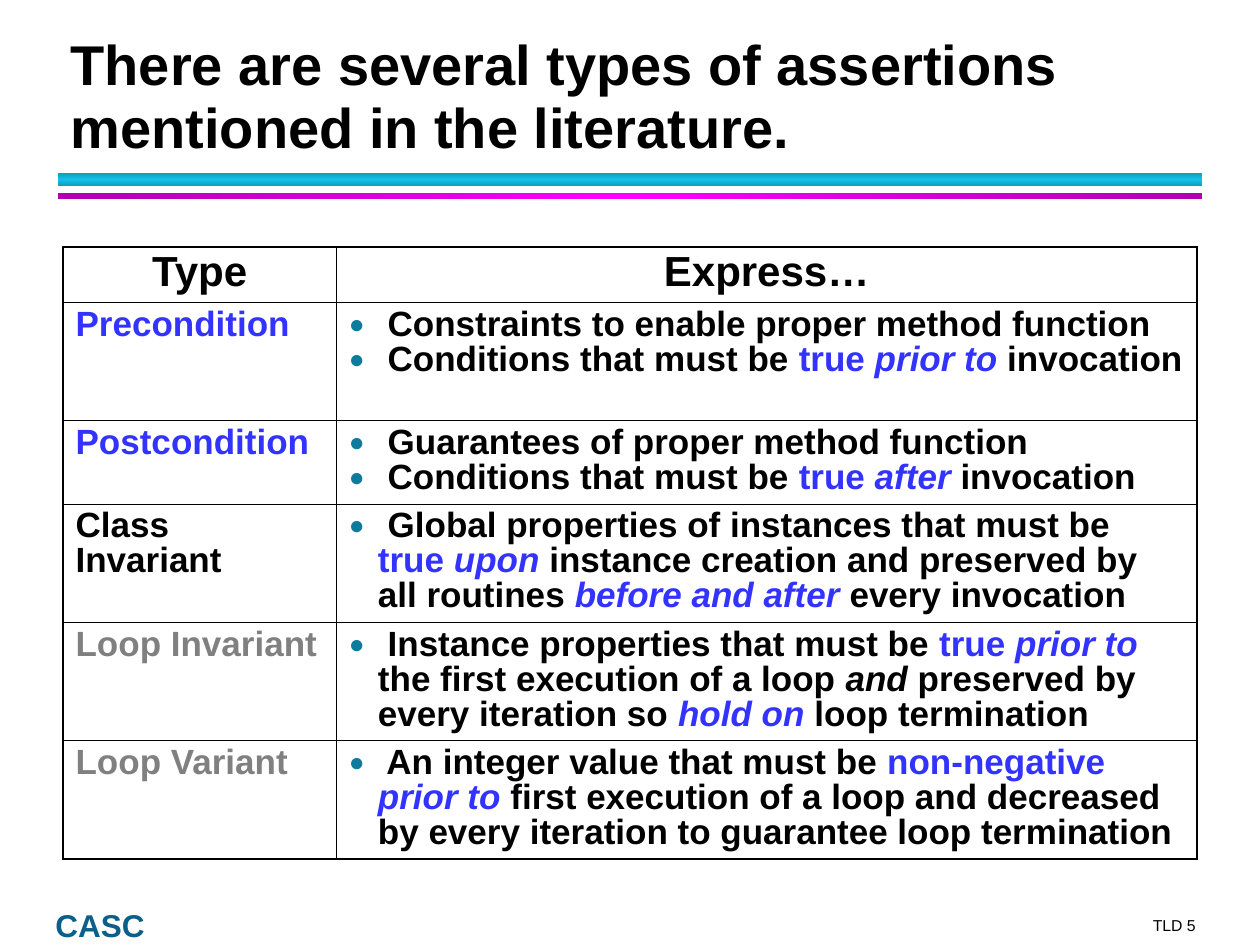
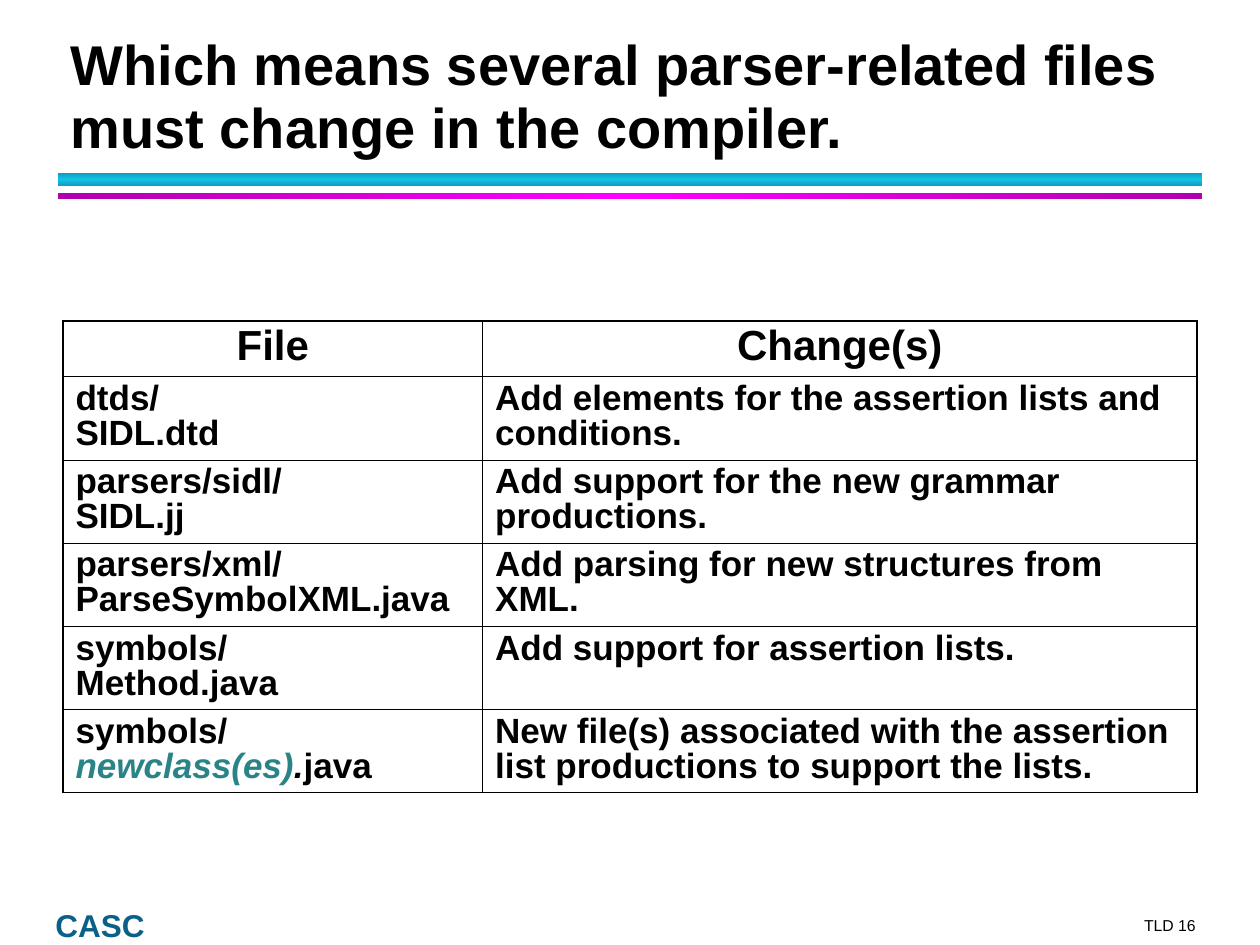
import pptx
import pptx.util
import pptx.dml.color
import pptx.enum.shapes
import pptx.enum.text
import pptx.oxml.ns
import lxml.etree

HUES = {
    "ink": "000000", "blue": "3333FF", "gray": "808080", "teal": "2A8487",
    "dot": "0C7B9C", "mark": "0A6089",
    "cyan": "12C2E9", "sea": "0E9AB9", "pink": "FF00FF", "plum": "B100B1",
}
FACE = "Arial"
COLS, ROWS = 100, 75
WIDE, TALL = pptx.util.Inches(10), pptx.util.Inches(7.5)
LEFT, MID, RIGHT = (getattr(pptx.enum.text.PP_ALIGN, name) for name in ("LEFT", "CENTER", "RIGHT"))
BASE = pptx.enum.text.MSO_ANCHOR.BOTTOM
PAD = 1
LINE = 2.8
HEAD = 4.4
THICK, THIN = 1.08, 0.45


def across(cols):
    return round(WIDE * cols / COLS)


def down(rows):
    return round(TALL * rows / ROWS)


def place(box):
    x, y, w, h = box
    return across(x), down(y), across(w), down(h)


def tag(root, name, **attrs):
    return lxml.etree.SubElement(root, pptx.oxml.ns.qn(name), attrs)


def write(para, runs, size, bold=True, lead=None, align=LEFT):
    para.alignment = align
    if lead:
        para.line_spacing = pptx.util.Pt(lead)
    for text, hue, slant in runs:
        for n, part in enumerate(text.split("\n")):
            if n:
                para.add_line_break()
            if not part:
                continue
            run = para.add_run()
            run.text = part
            font = run.font
            font.name, font.size = FACE, pptx.util.Pt(size)
            font.bold, font.italic = bold, slant
            font.color.rgb = pptx.dml.color.RGBColor.from_string(HUES[hue])


def plain(text, hue="ink"):
    return [(text, hue, False)]


def blue(text, slant=True):
    return (text, "blue", slant)


def ink(text, slant=False):
    return (text, "ink", slant)


def title(slide, box, text):
    shape = slide.shapes.title
    shape.left, shape.top, shape.width, shape.height = place(box)
    frame = shape.text_frame
    frame.auto_size = pptx.enum.text.MSO_AUTO_SIZE.NONE
    frame.word_wrap = True
    frame.vertical_anchor = BASE
    frame.margin_left = frame.margin_right = across(PAD)
    frame.margin_top = frame.margin_bottom = down(PAD / 2)
    write(frame.paragraphs[0], plain(text), 32, lead=36)


def band(slide, box, edge, core, angle):
    kind = pptx.enum.shapes.MSO_SHAPE.RECTANGLE
    shape = slide.shapes.add_shape(kind, *place(box))
    shape.shadow.inherit = False
    shape.line.fill.background()
    shape.fill.gradient()
    shape.fill.gradient_angle = angle
    stops = next(shape.element.iter(pptx.oxml.ns.qn("a:gsLst")))
    for stop in list(stops):
        stops.remove(stop)
    for share, hue in ((0, edge), (50, core), (100, edge)):
        stop = tag(stops, "a:gs", pos=str(share * 1000))
        tag(stop, "a:srgbClr", val=HUES[hue])


def label(slide, box, text, size, hue, **style):
    frame = slide.shapes.add_textbox(*place(box)).text_frame
    frame.word_wrap = True
    frame.vertical_anchor = BASE
    frame.margin_left = frame.margin_right = 0
    frame.margin_top = frame.margin_bottom = 0
    write(frame.paragraphs[0], plain(text, hue), size, **style)


def base(deck, text, page):
    slide = deck.slides.add_slide(deck.slide_layouts[5])
    title(slide, (4.6, 3.3, 90.6, 9.9), text)
    band(slide, (4.6, 13.7, 90.8, 1.1), "sea", "cyan", 90)
    band(slide, (4.6, 15.3, 90.8, 0.5), "plum", "pink", 0)
    label(slide, (4.4, 72.1, 7.7, 2.8), "CASC", 18, "mark", lead=20)
    label(slide, (87.6, 72.7, 7.3, 1.5), f"TLD {page}", 9, "ink", bold=False, align=RIGHT)
    return slide


def bullet(para):
    props = para._p.get_or_add_pPr()
    inset = across(2.3)
    props.set("marL", str(inset))
    props.set("indent", str(-inset))
    tag(tag(props, "a:buClr"), "a:srgbClr", val=HUES["dot"])
    tag(props, "a:buSzPct", val="75000")
    tag(props, "a:buFont", typeface=FACE)
    tag(props, "a:buChar", char="●")


def rule(cell, outer):
    cell.fill.background()
    props = cell._tc.get_or_add_tcPr()
    for n, (side, edge) in enumerate(zip("LRTB", outer)):
        width = pptx.util.Pt(THICK if edge else THIN)
        line = tag(props, f"a:ln{side}", w=str(int(width)))
        tag(tag(line, "a:solidFill"), "a:srgbClr", val=HUES["ink"])
        props.insert(n, line)


def grid(slide, box, first, heads, rows, lines, dots=False):
    x, y, w = box
    highs = [HEAD] + [PAD + LINE * n for n in lines]
    spot = place((x, y, w, sum(highs)))
    table = slide.shapes.add_table(len(highs), 2, *spot).table
    table.first_row = table.horz_banding = False
    for col, size in zip(table.columns, (first, w - first)):
        col.width = across(size)
    for row, high in zip(table.rows, highs):
        row.height = down(high)
    for r, row in enumerate([[[plain(head)] for head in heads]] + rows):
        for c, paras in enumerate(row):
            cell = table.cell(r, c)
            cell.margin_left = cell.margin_right = across(PAD)
            cell.margin_top = cell.margin_bottom = down(PAD / 2)
            rule(cell, (c == 0, c == 1, r == 0, r == len(rows)))
            frame = cell.text_frame
            for n, runs in enumerate(paras):
                para = frame.add_paragraph() if n else frame.paragraphs[0]
                if dots and r and c:
                    bullet(para)
                size = 20 if r else 24
                write(para, runs, size, lead=size, align=LEFT if r else MID)


def types(deck):
    slide = base(deck, "There are several types of assertions mentioned in the literature.", 5)
    must = ink(" Conditions that must be ")
    true = blue("true", False)
    call = ink(" invocation")
    rows = [
        [[plain("Precondition", "blue")],
         [plain(" Constraints to enable proper method function"),
          [must, true, blue(" prior to"), call]]],
        [[plain("Postcondition", "blue")],
         [plain(" Guarantees of proper method function"),
          [must, true, blue(" after"), call]]],
        [[plain("Class Invariant")],
         [[ink(" Global properties of instances that must be "), true, blue(" upon"),
           ink(" instance creation and preserved by all routines "),
           blue("before and after"), ink(" every invocation")]]],
        [[plain("Loop Invariant", "gray")],
         [[ink(" Instance properties that must be "), blue("true ", False),
           blue("prior to"), ink(" the first execution of a loop "), ink("and", True),
           ink(" preserved by every iteration so "), blue("hold on"),
           ink(" loop termination")]]],
        [[plain("Loop Variant", "gray")],
         [[ink(" An integer value that must be "), blue("non-negative ", False),
           blue("prior to"),
           ink(" first execution of a loop and decreased by every iteration"
               " to guarantee loop termination")]]],
    ]
    grid(slide, (5, 19.6, 90), 21.7, ("Type", "Express…"), rows, (3, 2, 3, 3, 3), True)


def files(deck):
    slide = base(deck, "Which means several parser-related files must change in the compiler.", 16)
    pairs = [
        (plain("dtds/\nSIDL.dtd"), "Add elements for the assertion lists and conditions."),
        (plain("parsers/sidl/\nSIDL.jj"), "Add support for the new grammar productions."),
        (plain("parsers/xml/\nParseSymbolXML.java"), "Add parsing for new structures from XML."),
        (plain("symbols/\nMethod.java"), "Add support for assertion lists."),
        ([ink("symbols/\n"), ("newclass(es)", "teal", True), ink(".", True), ink("java")],
         "New file(s) associated with the assertion list productions to support the lists."),
    ]
    rows = [[[name], [plain(change)]] for name, change in pairs]
    grid(slide, (5, 25.5, 90), 33.3, ("File", "Change(s)"), rows, [2] * len(rows))


def main():
    deck = pptx.Presentation()
    deck.slide_width, deck.slide_height = WIDE, TALL
    types(deck)
    files(deck)
    deck.save("out.pptx")


if __name__ == "__main__":
    main()
